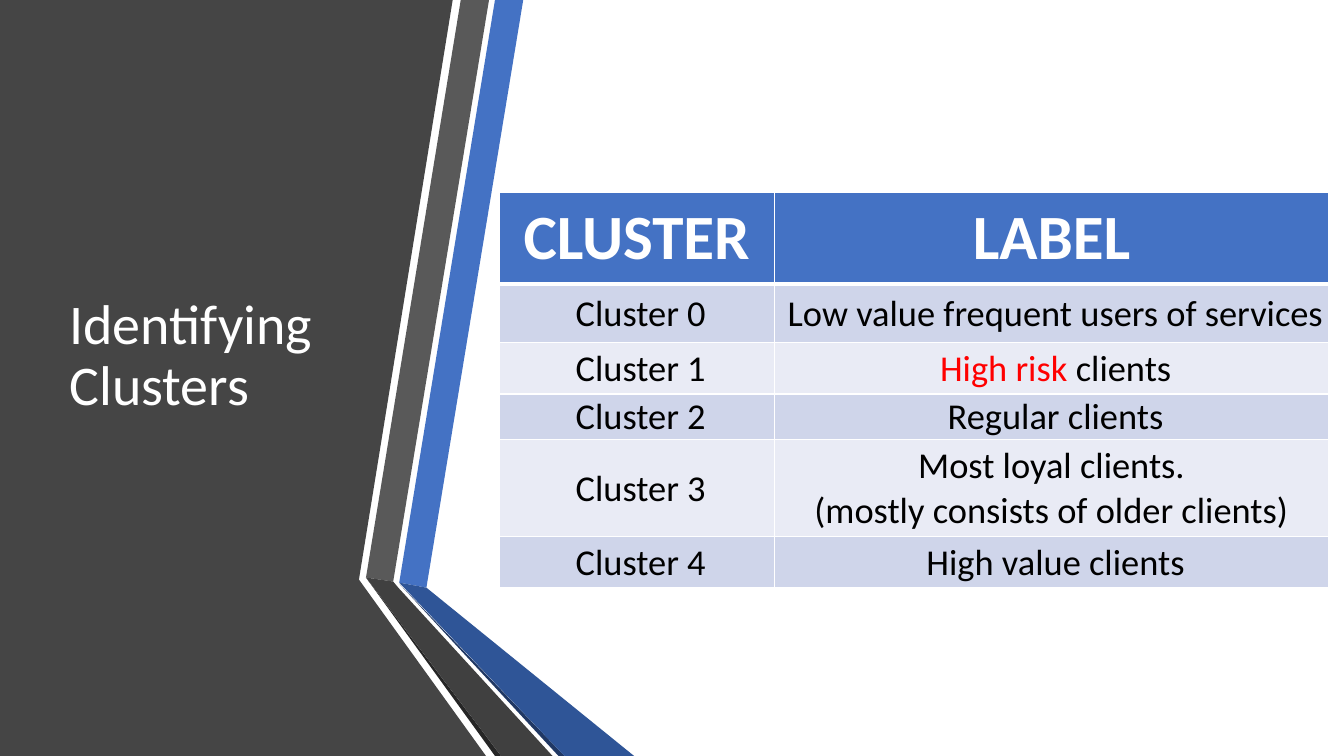
from dataclasses import dataclass

from lxml.etree import SubElement
from pptx import Presentation
from pptx.dml.color import RGBColor
from pptx.enum.text import MSO_ANCHOR, MSO_AUTO_SIZE, PP_ALIGN
from pptx.oxml.ns import qn
from pptx.util import Inches, Pt


@dataclass(frozen=True)
class Theme:
    """Colours, font and type sizes of the slide."""
    font: str = "Calibri"
    title_size: int = 40
    head_size: int = 45
    body_size: int = 26
    white: str = "FFFFFF"
    black: str = "000000"
    risk: str = "FF0000"
    panel: str = "454545"
    blue: str = "4472C4"
    blue_dark: str = "2F5597"
    blue_edge: str = "203864"
    grey: str = "595959"
    grey_dark: str = "404040"
    grey_edge: str = "262626"
    bands: tuple = ("CFD5EA", "E9EBF5")


THEME = Theme()
COLS, ROWS = 13.33, 7.5
UNIT = Inches(1)

PANEL = [(0, 0), (4.49, 0), (3.56, 5.75), (4.82, ROWS), (0, ROWS)]
RIBBONS = [
    (THEME.blue, [(3.96, 5.78), (4.23, 5.83), (5.19, 0), (4.91, 0)]),
    (THEME.grey, [(4.85, 0), (4.57, 0), (3.63, 5.73), (3.9, 5.77)]),
    (THEME.grey_edge, [(3.63, 5.73), (4.91, ROWS), (4.97, ROWS)]),
    (THEME.blue_edge, [(3.96, 5.79), (5.54, ROWS), (5.6, ROWS)]),
    (THEME.blue_dark, [(3.96, 5.78), (5.6, ROWS), (6.29, ROWS), (4.23, 5.83)]),
    (THEME.grey_dark, [(3.63, 5.73), (4.97, ROWS), (5.48, ROWS),
                       (3.95, 5.83), (3.9, 5.77)]),
]

COLUMN_WIDTHS = [2.73, 5.5]
ROW_HEIGHTS = [0.91, 0.58, 0.51, 0.45, 0.96, 0.51]
HEADINGS = ["CLUSTER", "LABEL"]
LABELS = [
    [[" Low value frequent users of services"]],
    [[" ", ("High risk ", THEME.risk), "clients"]],
    [[" Regular clients"]],
    [[" Most loyal clients. "], ["(mostly consists of older clients)"]],
    [[" High value clients"]],
]


def grid(*modules):
    """Turn grid modules into slide lengths."""
    return [round(m * UNIT) for m in modules]


def rgb(value):
    """Turn a hex string into a colour."""
    return RGBColor.from_string(value)


def style_font(p, size, color, bold=False):
    """Set the font of a whole paragraph."""
    p.font.name = THEME.font
    p.font.size = Pt(size)
    p.font.bold = bold
    p.font.color.rgb = rgb(color)


def add_polygon(shapes, points, color):
    """Draw a closed outline with a plain fill."""
    start, *rest = [grid(*point) for point in points]
    builder = shapes.build_freeform(*start, scale=1.0)
    builder.add_line_segments(rest, close=True)
    sp = builder.convert_to_shape()
    sp.shadow.inherit = False
    sp.fill.solid()
    sp.fill.fore_color.rgb = rgb(color)
    sp.line.fill.background()


def set_title(sp, text):
    """Place and format the title placeholder."""
    sp.left, sp.top, sp.width, sp.height = grid(0.59, 0.75, 3.04, 5.58)
    tf = sp.text_frame
    tf.text = text
    tf.word_wrap = True
    tf.auto_size = MSO_AUTO_SIZE.NONE
    tf.vertical_anchor = MSO_ANCHOR.MIDDLE
    p = tf.paragraphs[0]
    p.alignment = PP_ALIGN.LEFT
    p.line_spacing = 0.9
    style_font(p, THEME.title_size, THEME.white)


def set_borders(cell, top, bottom):
    """Give a cell white borders, with the widths of top and bottom in points."""
    tc_pr = cell._tc.get_or_add_tcPr()
    sides = {"lnL": 1, "lnR": 1, "lnT": top, "lnB": bottom}
    for index, (tag, width) in enumerate(sides.items()):
        ln = SubElement(tc_pr, qn(f"a:{tag}"), w=str(Pt(width)))
        fill = SubElement(ln, qn("a:solidFill"))
        SubElement(fill, qn("a:srgbClr"), val=THEME.white)
        tc_pr.insert(index, ln)


def fill_cell(cell, paragraphs, fill, margins, size, color, bold):
    """Write and format one table cell."""
    cell.fill.solid()
    cell.fill.fore_color.rgb = rgb(fill)
    cell.vertical_anchor = MSO_ANCHOR.MIDDLE
    (cell.margin_left, cell.margin_top,
     cell.margin_right, cell.margin_bottom) = grid(*margins)
    tf = cell.text_frame
    for index, runs in enumerate(paragraphs):
        p = tf.add_paragraph() if index else tf.paragraphs[0]
        p.alignment = PP_ALIGN.CENTER
        style_font(p, size, color, bold)
        for run in runs:
            text, accent = run if isinstance(run, tuple) else (run, color)
            r = p.add_run()
            r.text = text
            r.font.size = Pt(size)
            r.font.name = THEME.font
            r.font.bold = bold
            r.font.color.rgb = rgb(accent)


def add_cluster_table(slide):
    """Add the table of clusters and their labels."""
    box = grid(4.95, 1.91, sum(COLUMN_WIDTHS), sum(ROW_HEIGHTS))
    table = slide.shapes.add_table(len(ROW_HEIGHTS), len(COLUMN_WIDTHS), *box).table
    table.horz_banding = False
    for column, width in zip(table.columns, grid(*COLUMN_WIDTHS)):
        column.width = width
    for row, height in zip(table.rows, grid(*ROW_HEIGHTS)):
        row.height = height
    for cell, heading in zip(table.rows[0].cells, HEADINGS):
        fill_cell(cell, [[heading]], THEME.blue, (0.11, 0.06, 0.11, 0.06),
                  THEME.head_size, THEME.white, True)
        set_borders(cell, 1, 3)
    for index, label in enumerate(LABELS):
        contents = [[[f" Cluster {index}"]], label]
        for cell, paragraphs in zip(table.rows[index + 1].cells, contents):
            fill_cell(cell, paragraphs, THEME.bands[index % 2], (0.01, 0.01, 0.01, 0),
                      THEME.body_size, THEME.black, False)
            set_borders(cell, 1 if index else 3, 1)


def main():
    """Build the slide and save it."""
    prs = Presentation()
    prs.slide_width, prs.slide_height = grid(COLS, ROWS)
    slide = prs.slides.add_slide(prs.slide_layouts[5])
    title = slide.shapes.title
    add_polygon(slide.shapes, PANEL, THEME.panel)
    ribbons = slide.shapes.add_group_shape()
    for color, points in RIBBONS:
        add_polygon(ribbons.shapes, points, color)
    set_title(title, "Identifying Clusters")
    slide.shapes._spTree.append(title._element)
    add_cluster_table(slide)
    prs.save("out.pptx")


if __name__ == "__main__":
    main()
